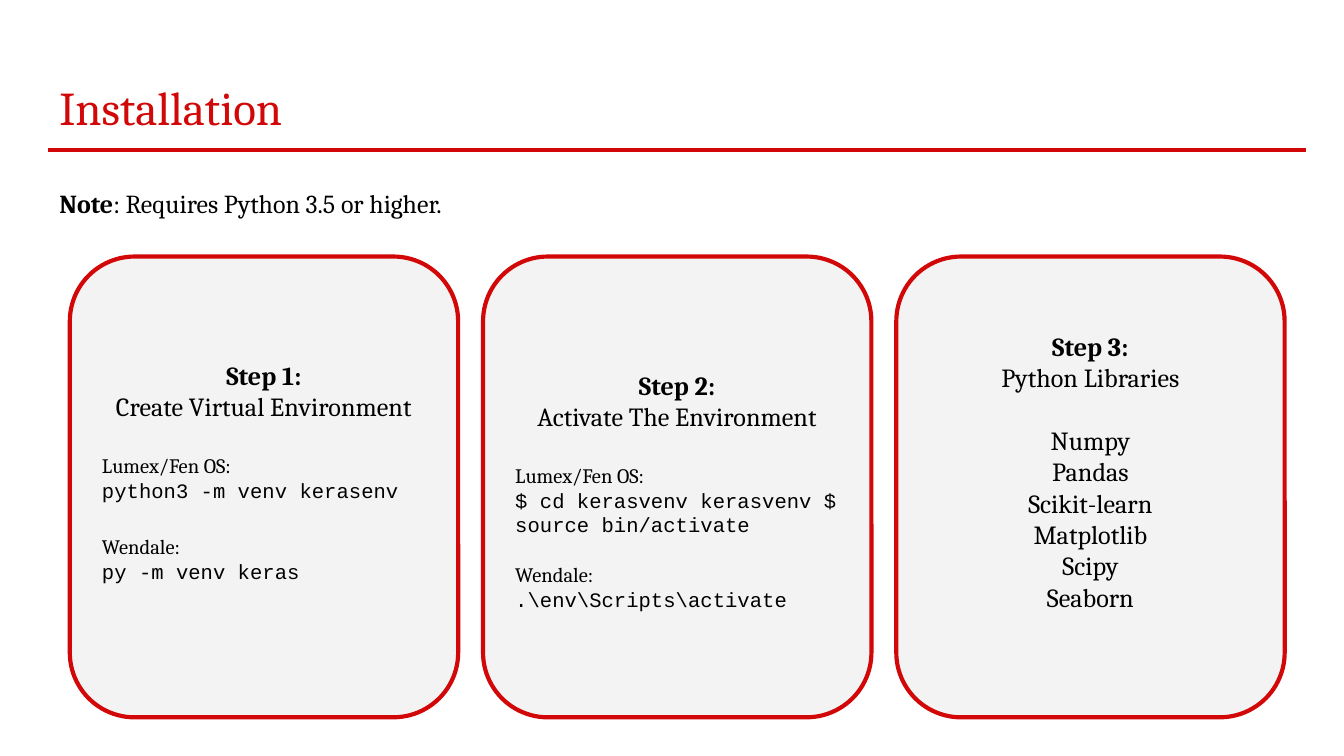
from lxml.etree import SubElement
from pptx import Presentation
from pptx.dml.color import RGBColor
from pptx.enum.shapes import MSO_CONNECTOR, MSO_SHAPE
from pptx.enum.text import MSO_ANCHOR, MSO_AUTO_SIZE, PP_ALIGN
from pptx.oxml.ns import qn
from pptx.util import Cm, Pt

RED, GREY, BLACK = "D20808", "F3F3F3", "000000"
SERIF, MONO = "Cambria", "Courier New"
TITLE = "Installation"
NOTE = [("Note", True), (": Requires Python 3.5 or higher.", False)]
SYSTEMS = ("Lumex/Fen OS:", "Wendale:")
CARDS = [
    {
        "head": ("Step 1:", "Create Virtual Environment"),
        "commands": ["python3 -m venv kerasenv", "py -m venv keras"],
        "gaps": (16.8, 16.8), "insets": (0.25, 0.84),
    },
    {
        "head": ("Step 2:", "Activate The Environment"),
        "commands": ["$ cd kerasvenv kerasvenv $ source bin/activate",
                     ".\\env\\Scripts\\activate"],
        "gaps": (16.8, 13.3), "insets": (0.84, 0.72),
    },
    {
        "head": ("Step 3:", "Python Libraries"),
        "libraries": ["Numpy", "Pandas", "Scikit-learn", "Matplotlib", "Scipy", "Seaborn"],
        "gaps": (16.8,), "insets": (0.25, 0.84),
    },
]
CARD_LEFT, CARD_TOP, CARD_W, CARD_H, CARD_STEP = 1.32, 4.85, 7.34, 8.71, 7.81


def rgb(value):
    return RGBColor.from_string(value)


def add_run(p, text, size, color=BLACK, font=SERIF, bold=False):
    r = p.add_run()
    r.text = text
    r.font.size, r.font.name, r.font.bold = Pt(size), font, bold
    r.font.color.rgb = rgb(color)


def add_line(tf, text, size, align=PP_ALIGN.LEFT, gap=0, **style):
    p = tf.paragraphs[0] if not tf.paragraphs[0].runs else tf.add_paragraph()
    p.alignment, p.space_before = align, Pt(gap)
    add_run(p, text, size, **style)


def set_frame(tf, anchor, top=0.25, bottom=0.25):
    tf.word_wrap, tf.auto_size, tf.vertical_anchor = True, MSO_AUTO_SIZE.NONE, anchor
    tf.margin_left = tf.margin_right = Cm(0.25)
    tf.margin_top, tf.margin_bottom = Cm(top), Cm(bottom)


def place(sp, left, top, width, height):
    sp.left, sp.top, sp.width, sp.height = Cm(left), Cm(top), Cm(width), Cm(height)
    set_frame(sp.text_frame, MSO_ANCHOR.TOP)


def add_card(s, index, card):
    sp = s.shapes.add_shape(MSO_SHAPE.ROUNDED_RECTANGLE, Cm(CARD_LEFT + index * CARD_STEP),
                            Cm(CARD_TOP), Cm(CARD_W), Cm(CARD_H))
    sp.shadow.inherit = False
    sp.fill.solid()
    sp.fill.fore_color.rgb = rgb(GREY)
    sp.line.color.rgb, sp.line.width = rgb(RED), Pt(2.25)
    tf = sp.text_frame
    set_frame(tf, MSO_ANCHOR.MIDDLE, *card["insets"])
    step, subject = card["head"]
    add_line(tf, step, 14, PP_ALIGN.CENTER, bold=True)
    add_line(tf, subject, 14, PP_ALIGN.CENTER)
    for system, command, gap in zip(SYSTEMS, card.get("commands", []), card["gaps"]):
        add_line(tf, system, 11, gap=gap)
        add_line(tf, command, 11, font=MONO)
    for i, library in enumerate(card.get("libraries", [])):
        add_line(tf, library, 14, PP_ALIGN.CENTER, gap=0 if i else card["gaps"][0])


def main():
    prs = Presentation()
    prs.slide_width, prs.slide_height = Cm(25.4), Cm(14.29)
    s = prs.slides.add_slide(prs.slide_layouts[1])

    title, body = s.shapes.title, s.placeholders[1]
    place(title, 0.87, 1.24, 23.67, 1.6)
    add_line(title.text_frame, TITLE, 25.2, color=RED)

    place(body, 0.87, 3.2, 23.37, 1.12)
    p = body.text_frame.paragraphs[0]
    p.line_spacing, p.space_before, p.space_after = 1.15, Pt(0), Pt(12)
    pPr = p._p.get_or_add_pPr()
    pPr.set("marL", "0")
    pPr.set("indent", "0")
    SubElement(pPr, qn("a:buNone"))
    for text, bold in NOTE:
        add_run(p, text, 13.9, bold=bold)

    rule = s.shapes.add_connector(MSO_CONNECTOR.STRAIGHT, Cm(0.91), Cm(2.84), Cm(24.69), Cm(2.84))
    rule.line.color.rgb, rule.line.width = rgb(RED), Pt(2.25)
    SubElement(rule._element.spPr, qn("a:effectLst"))

    for index, card in enumerate(CARDS):
        add_card(s, index, card)
    prs.save("out.pptx")


if __name__ == "__main__":
    main()
